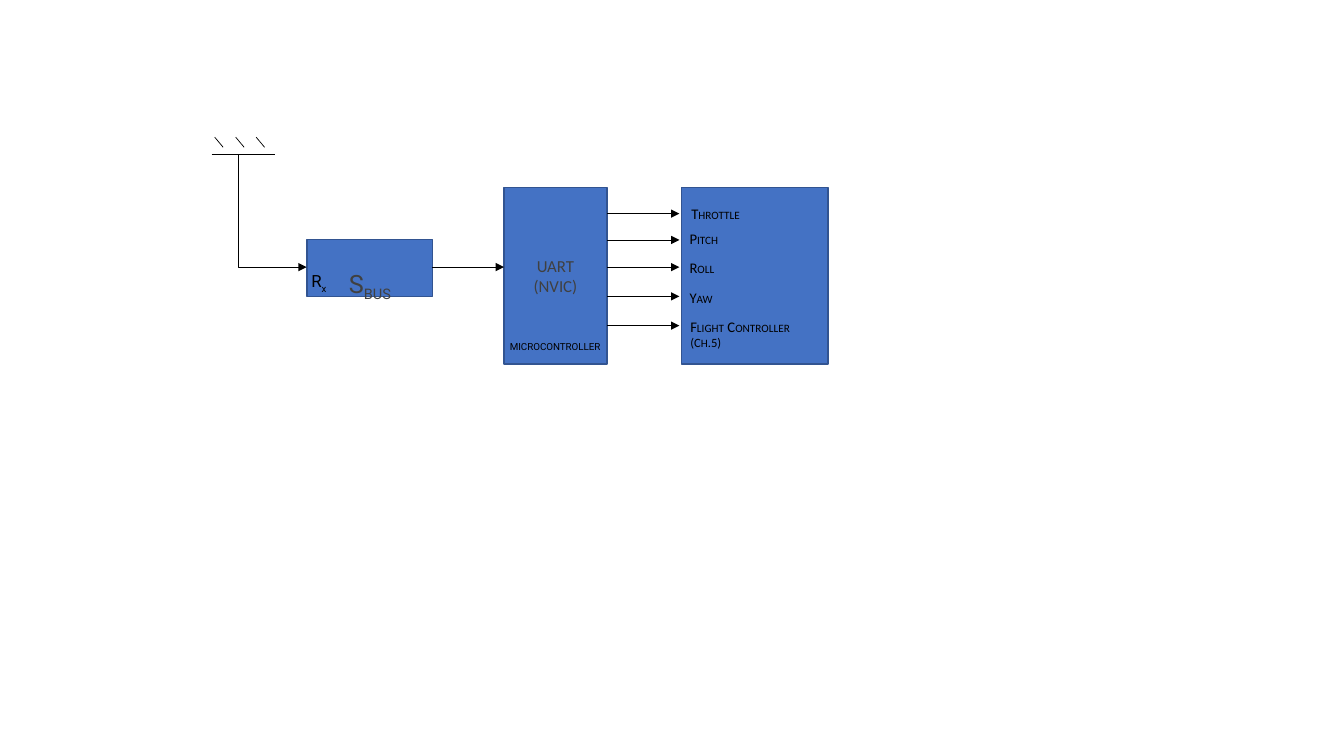
from lxml.etree import SubElement
from pptx import Presentation
from pptx.dml.color import RGBColor
from pptx.enum.shapes import MSO_CONNECTOR, MSO_SHAPE
from pptx.enum.text import MSO_ANCHOR, PP_ALIGN
from pptx.oxml.ns import qn
from pptx.util import Pt

BLACK, GREY, BLUE, NAVY = "000000", "404040", "4472C4", "325491"


def rgb(value):
    return RGBColor.from_string(value)


class Diagram:
    """Draws the boxes, lines and labels of a block diagram on one slide."""

    def __init__(self, prs):
        self.s = prs.slides.add_slide(prs.slide_layouts[6])
        self.box_line, self.wire = Pt(1), Pt(0.5)

    def text(self, sp, paragraphs, font, color, align=PP_ALIGN.LEFT, **frame):
        tf = sp.text_frame
        for name, value in {"word_wrap": True, **frame}.items():
            setattr(tf, name, value)
        for i, runs in enumerate(paragraphs):
            p = tf.add_paragraph() if i else tf.paragraphs[0]
            p.alignment = align
            for text, size, *base in runs:
                r = p.add_run()
                r.text = text
                for name, value in {"name": font, "size": Pt(size)}.items():
                    setattr(r.font, name, value)
                r.font.color.rgb = rgb(color)
                if base:
                    r._r.get_or_add_rPr().set("baseline", str(base[0]))

    def box(self, x, y, w, h):
        sp = self.s.shapes.add_shape(MSO_SHAPE.RECTANGLE, Pt(x), Pt(y), Pt(w), Pt(h))
        sp.shadow.inherit = False
        sp.fill.solid()
        sp.fill.fore_color.rgb = rgb(BLUE)
        sp.line.color.rgb = rgb(NAVY)
        sp.line.width = self.box_line
        return sp

    def label(self, x, y, w, h, paragraphs, font="Calibri"):
        sp = self.s.shapes.add_textbox(Pt(x), Pt(y), Pt(w), Pt(h))
        self.text(sp, paragraphs, font, BLACK, margin_right=0)

    def line(self, x1, y1, x2, y2, arrow=False):
        sp = self.s.shapes.add_connector(MSO_CONNECTOR.STRAIGHT, Pt(x1), Pt(y1), Pt(x2), Pt(y2))
        sp.line.color.rgb = rgb(BLACK)
        sp.line.width = self.wire
        spPr = sp._element.spPr
        if arrow:
            SubElement(spPr.find(qn("a:ln")), qn("a:tailEnd"), type="triangle")
        SubElement(spPr, qn("a:effectLst"))
        return sp

    def elbow(self, x1, y1, x2, y2):
        cx, cy, w, h = (x1 + x2) / 2, (y1 + y2) / 2, y2 - y1, x2 - x1
        sp = self.line(cx + w / 2, cy - h / 2, cx - w / 2, cy + h / 2, True)
        spPr = sp._element.spPr
        spPr.find(qn("a:xfrm")).set("rot", str(270 * 60000))
        spPr.find(qn("a:prstGeom")).set("prst", "bentConnector2")


prs = Presentation()
prs.slide_width, prs.slide_height = Pt(960), Pt(540)
d = Diagram(prs)

bus = d.box(219.4, 171.2, 89.6, 40.4)
d.text(bus, [[("S", 18), ("BUS", 18, -25000)]], "Roboto", GREY, PP_ALIGN.CENTER,
       vertical_anchor=MSO_ANCHOR.TOP, margin_top=Pt(20.3), margin_bottom=0)
uart = d.box(360, 134, 73.6, 126)
d.text(uart, [[("UART", 12)], [("(NVIC)", 12)]], "Calibri", GREY, PP_ALIGN.CENTER,
       vertical_anchor=MSO_ANCHOR.MIDDLE)
d.box(487, 134, 104.4, 126)

d.line(308.5, 190.8, 360, 190.8, True)
d.elbow(170, 110.2, 219, 190.8)
d.line(151.2, 110.2, 196.6, 110.2)
for x in (153.4, 168.4, 183):
    d.line(x, 98, x + 6, 105.2)

d.label(215.3, 190.1, 26.6, 21.6, [[("R", 12), ("x", 12, -25000)]], "Roboto")
d.label(357.1, 239.8, 79.2, 15.8, [[("MICROCONTROLLER", 7)]], "Roboto")

channels = [
    (152.6, 486.7, 142.6, [[("T", 10.5), ("HROTTLE", 8)]]),
    (171.4, 485.5, 160.6, [[("P", 10.5), ("ITCH", 8)]]),
    (190.8, 485.5, 181.6, [[("R", 10.5), ("OLL", 8)]]),
    (211.7, 485.5, 202.8, [[("Y", 10.5), ("AW", 8)]]),
    (232.6, 486, 223.4, [[("F", 10.5), ("LIGHT", 8), (" C", 10.5), ("ONTROLLER", 8)],
                         [("(C", 9), ("H", 8), (".5)", 9)]]),
]
for wire_y, x, y, name in channels:
    d.line(433.6, wire_y, 485.3, wire_y, True)
    d.label(x, y, 105, 9 + 11 * len(name), name)

prs.save("out.pptx")
